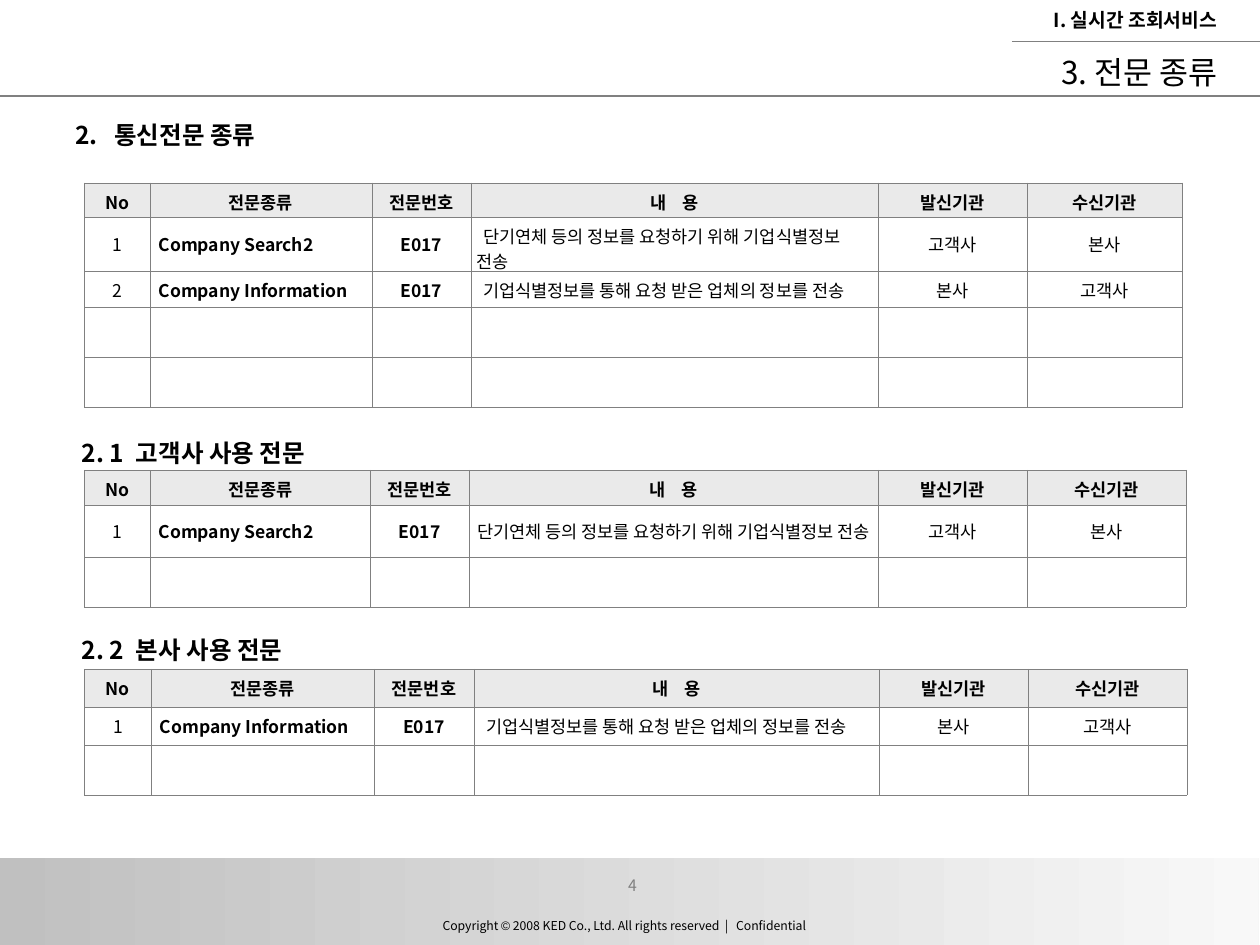
"""Build the message type slide with its three tables."""
from lxml.etree import SubElement
from pptx import Presentation
from pptx.dml.color import RGBColor
from pptx.enum.shapes import MSO_CONNECTOR, MSO_SHAPE
from pptx.enum.text import MSO_ANCHOR, PP_ALIGN
from pptx.oxml.ns import qn
from pptx.util import Inches, Pt

COLORS = {"text": "000000", "gray": "808080", "header": "EAEAEA", "cell": "FFFFFF",
          "band_start": "C0C0C0", "band_end": "F8F8F8"}
FONT = "Noto Sans CJK KR"


def write(paragraph, text, size, bold=False, color="text", align=PP_ALIGN.LEFT,
          left=0, first=0, spacing=0):
    paragraph.text = text
    paragraph.alignment = align
    properties = paragraph._p.get_or_add_pPr()
    properties.set("marL", str(Inches(left)))
    properties.set("indent", str(Inches(first)))
    font = paragraph.font
    font.size, font.bold, font.name = Pt(size), bold, FONT
    font.color.rgb = RGBColor.from_string(COLORS[color])
    defaults = properties.find(qn("a:defRPr"))
    SubElement(defaults, qn("a:ea"), typeface=FONT)
    if spacing:
        for run in paragraph.runs:
            run._r.get_or_add_rPr().set("spc", str(spacing))


def add_text_box(left, top, width, height, anchor=MSO_ANCHOR.MIDDLE):
    box = slide.shapes.add_textbox(Inches(left), Inches(top), Inches(width), Inches(height))
    box.text_frame.word_wrap = True
    box.text_frame.vertical_anchor = anchor
    return box.text_frame.paragraphs[0]


presentation = Presentation()
presentation.slide_width, presentation.slide_height = Inches(10), Inches(7.5)
slide = presentation.slides.add_slide(presentation.slide_layouts[6])

band = slide.shapes.add_shape(MSO_SHAPE.RECTANGLE, 0, Inches(6.81), Inches(9.99), Inches(0.71))
band.shadow.inherit = False
band.line.fill.background()
band.fill.gradient()
band.fill.gradient_angle = 0
for stop, position, name in zip(band.fill.gradient_stops, (0, 1), ("band_start", "band_end")):
    stop.position = position
    stop.color.rgb = RGBColor.from_string(COLORS[name])

copyright_line = add_text_box(3.18, 7.12, 3.55, 0.33, MSO_ANCHOR.BOTTOM)
write(copyright_line, "", 7, align=PP_ALIGN.CENTER)
for text, font_name, spacing in [("Copyright ", FONT, 0), ("©", "Arial", 0),
                                 (" 2008 KED Co., Ltd. All rights reserved", FONT, 0),
                                 (" | ", FONT, 150), ("Confidential", FONT, 0)]:
    run = copyright_line.add_run()
    run.text = text
    run.font.name = font_name
    run._r.get_or_add_rPr().set("spc", str(spacing))

for left, top, weight in [(0, 0.76, 1), (8.03, 0.33, 0.75)]:
    rule = slide.shapes.add_connector(MSO_CONNECTOR.STRAIGHT, Inches(left), Inches(top),
                                      Inches(10), Inches(top))
    rule.line.color.rgb = RGBColor.from_string(COLORS["gray"])
    rule.line.width = Pt(weight)
    SubElement(rule._element.spPr, qn("a:effectLst"))

write(add_text_box(4.68, 6.9, 0.68, 0.31, MSO_ANCHOR.TOP), "4", 9, color="gray",
      align=PP_ALIGN.CENTER)
write(add_text_box(6.76, 0.34, 3, 0.46), "3. 전문 종류", 18, align=PP_ALIGN.RIGHT)
write(add_text_box(7.92, -0.07, 1.84, 0.46), "I. 실시간 조회서비스", 11, bold=True,
      align=PP_ALIGN.RIGHT)

HEADERS = ["No", "전문종류", "전문번호", "내 용", "발신기관", "수신기관"]
SEARCH = ["Company Search2", "E017", "단기연체 등의 정보를 요청하기 위해 기업식별정보 전송",
          "고객사", "본사"]
INFORMATION = ["Company Information", "E017", "기업식별정보를 통해 요청 받은 업체의 정보를 전송",
               "본사", "고객사"]
TABLES = [
    (1.45, [0.52, 1.76, 0.79, 3.23, 1.18, 1.23], [0.27, 0.41, 0.28, 0.28, 0.28],
     [SEARCH, INFORMATION], 0.06),
    (3.73, [0.52, 1.75, 0.78, 3.25, 1.18, 1.26], [0.28, 0.41, 0.28], [SEARCH], 0.03),
    (5.31, [0.53, 1.77, 0.79, 3.22, 1.18, 1.26], [0.3, 0.3, 0.29], [INFORMATION], 0.06),
]
for top, widths, heights, messages, description_indent in TABLES:
    table = slide.shapes.add_table(len(heights), len(widths), Inches(0.67), Inches(top),
                                   Inches(sum(widths)), Inches(sum(heights))).table
    table.first_row = table.horz_banding = False
    for column, width in zip(table.columns, widths):
        column.width = Inches(width)
    for row, height in zip(table.rows, heights):
        row.height = Inches(height)
    rows = [HEADERS] + [[str(number), *message] for number, message in enumerate(messages, 1)]
    for row_index in range(len(heights)):
        for column_index in range(len(widths)):
            cell = table.cell(row_index, column_index)
            for side in ("lnL", "lnR", "lnT", "lnB"):
                border = SubElement(cell._tc.get_or_add_tcPr(), qn(f"a:{side}"), w=str(Pt(0.11)))
                fill = SubElement(border, qn("a:solidFill"))
                SubElement(fill, qn("a:srgbClr"), val=COLORS["gray"])
            if row_index and column_index < 2:
                cell.fill.background()
            else:
                cell.fill.solid()
                cell.fill.fore_color.rgb = RGBColor.from_string(
                    COLORS["cell" if row_index else "header"])
            if row_index >= len(rows):
                continue
            cell.vertical_anchor = MSO_ANCHOR.MIDDLE
            cell.margin_left = cell.margin_right = Inches(0.04)
            is_name = row_index > 0 and column_index == 1
            is_description = row_index > 0 and column_index == 3
            write(cell.text_frame.paragraphs[0], rows[row_index][column_index], 10,
                  bold=row_index == 0 or column_index in (1, 2),
                  align=PP_ALIGN.LEFT if is_name or is_description else PP_ALIGN.CENTER,
                  left=0.03 if is_name else 0,
                  first=description_indent if is_description else 0,
                  spacing=340 if rows[row_index][column_index] == "내 용" else 0)

for left, top, text, indent, hanging in [(0.42, 3.36, "2. 1\t고객사 사용 전문", 0.56, 0.43),
                                         (0.42, 4.93, "2. 2\t본사 사용 전문", 0.56, 0.43),
                                         (0.5, 0.84, "2.\t통신전문 종류", 0.31, 0.31)]:
    write(add_text_box(left, top, 7.81, 0.46), text, 14, bold=True, left=indent, first=-hanging)

presentation.save("out.pptx")
